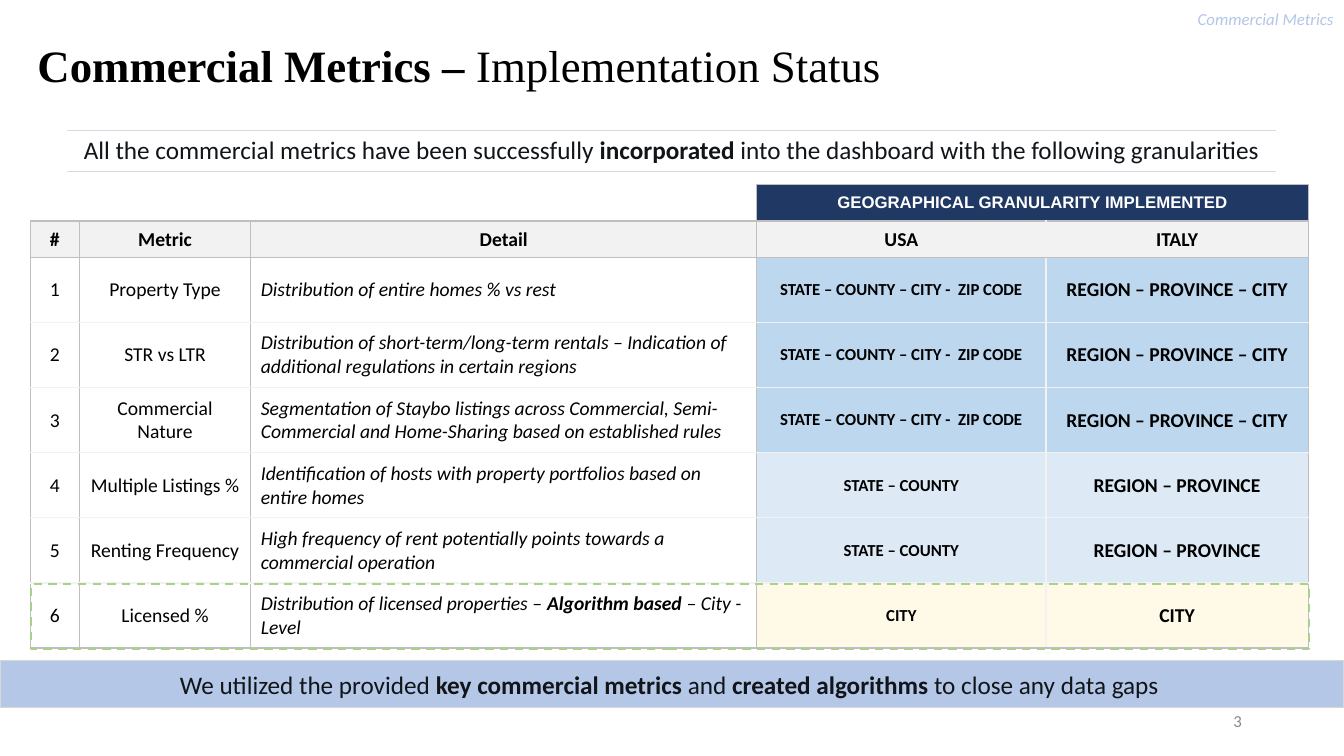
from pptx import Presentation
from pptx.dml.color import RGBColor
from pptx.enum.dml import MSO_LINE_DASH_STYLE as Dash
from pptx.enum.shapes import MSO_SHAPE as Shape
from pptx.enum.text import MSO_ANCHOR as Anchor, PP_ALIGN as Align
from pptx.oxml.ns import qn
from pptx.util import Cm, Pt
from lxml.etree import SubElement

COLORS = {
    "black": "000000", "white": "FFFFFF", "ink": "11151A", "muted": "888888",
    "tag": "B3C6E7", "navy": "203864", "grid": "BFBFBF", "pale": "F2F2F2",
    "fine": "BDD7EE", "broad": "DDEAF6", "cream": "FFF9E7", "rule": "D5DBE5",
    "band": "B4C7E7", "band_edge": "D8D8D8", "dash": "A9D18E",
}
COLUMN_WIDTHS = [1.24, 4.32, 12.75, 7.29, 6.61]
HEADER_HEIGHT, METRIC_HEIGHT = 0.92, 1.64
HEADINGS = ["#", "Metric", "Detail", "USA", "ITALY"]

# Granularity level: USA text, Italy text, fill
LEVELS = {
    "zip": ("STATE – COUNTY – CITY -  ZIP CODE", "REGION – PROVINCE – CITY", "fine"),
    "county": ("STATE – COUNTY", "REGION – PROVINCE", "broad"),
    "city": ("CITY", "CITY", "cream"),
}
# Text between double asterisks is bold
METRICS = [
    ("Property Type", "Distribution of entire homes % vs rest", "zip"),
    ("STR vs LTR", "Distribution of short-term/long-term rentals – Indication of "
     "additional regulations in certain regions", "zip"),
    ("Commercial Nature", "Segmentation of Staybo listings across Commercial, "
     "Semi-Commercial and Home-Sharing based on established rules", "zip"),
    ("Multiple Listings %", "Identification of hosts with property portfolios "
     "based on entire homes", "county"),
    ("Renting Frequency", "High frequency of rent potentially points towards a "
     "commercial operation", "county"),
    ("Licensed %", "Distribution of licensed properties – **Algorithm based **"
     "– City - Level", "city"),
]


def rgb(name):
    return RGBColor.from_string(COLORS[name])


class SlideBuilder:
    """Holds the style and the current slide."""

    def __init__(self, slide, font="Calibri"):
        self.slide = slide
        self.font = font

    def add_text(self, frame, text, size, color="black", bold=False, italic=False,
                 align=Align.CENTER, font=None):
        paragraph = frame.paragraphs[0]
        paragraph.alignment = align
        for index, part in enumerate(text.split("**")):
            if not part:
                continue
            run = paragraph.add_run()
            run.text = part
            run.font.name = font or self.font
            run.font.size = Pt(size)
            run.font.bold = bold or index % 2 == 1
            run.font.italic = italic
            run.font.color.rgb = rgb(color)
        return paragraph

    def title(self, text, left, top, width, height):
        title = self.slide.shapes.title
        title.left, title.top = Cm(left), Cm(top)
        title.width, title.height = Cm(width), Cm(height)
        title.text_frame.vertical_anchor = Anchor.MIDDLE
        paragraph = self.add_text(title.text_frame, text, 32, align=Align.LEFT,
                                  font="Times New Roman")
        paragraph.line_spacing = 0.9

    def label(self, text, left, top, width, height, **style):
        box = self.slide.shapes.add_textbox(Cm(left), Cm(top), Cm(width), Cm(height))
        box.text_frame.word_wrap = True
        box.text_frame.vertical_anchor = Anchor.MIDDLE
        self.add_text(box.text_frame, text, 12, align=Align.RIGHT, **style)

    def rectangle(self, left, top, width, height, line, weight, fill=None, dash=None):
        box = self.slide.shapes.add_shape(Shape.RECTANGLE, Cm(left), Cm(top),
                                          Cm(width), Cm(height))
        box.shadow.inherit = False
        box.line.color.rgb = rgb(line)
        box.line.width = Pt(weight)
        if dash:
            box.line.dash_style = dash
        if fill:
            box.fill.solid()
            box.fill.fore_color.rgb = rgb(fill)
        else:
            box.fill.background()
        box.text_frame.vertical_anchor = Anchor.MIDDLE
        return box

    def table(self, left, top, widths, heights):
        table = self.slide.shapes.add_table(
            len(heights), len(widths), Cm(left), Cm(top),
            Cm(sum(widths)), Cm(sum(heights))).table
        table.first_row = table.horz_banding = False
        for column, width in zip(table.columns, widths):
            column.width = Cm(width)
        for row, height in zip(table.rows, heights):
            row.height = Cm(height)
        return table

    def cell(self, cell, borders, fill=None, text="", size=14, **style):
        """Borders are colour names for left, right, top and bottom."""
        cell.vertical_anchor = Anchor.MIDDLE
        properties = cell._tc.get_or_add_tcPr()
        for side, color in zip("LRTB", borders):
            line = SubElement(properties, qn(f"a:ln{side}"), w=str(Pt(1)))
            if color:
                solid = SubElement(line, qn("a:solidFill"))
                SubElement(solid, qn("a:srgbClr"), val=COLORS[color])
            else:
                SubElement(line, qn("a:noFill"))
        if fill:
            cell.fill.solid()
            cell.fill.fore_color.rgb = rgb(fill)
        else:
            cell.fill.background()
        if text:
            self.add_text(cell.text_frame, text, size, **style)
        else:
            paragraph = cell.text_frame.paragraphs[0]
            SubElement(paragraph._p, qn("a:endParaRPr"), sz=str(size * 100))


def add_metrics_table(page):
    heights = [HEADER_HEIGHT] * 2 + [METRIC_HEIGHT] * len(METRICS)
    table = page.table(0.76, 4.65, COLUMN_WIDTHS, heights)
    last_row = len(heights) - 1

    def borders(row, column):
        return ("pale" if column == 4 else "grid",
                "pale" if column == 3 else "grid",
                "pale" if row > 2 else "grid",
                "pale" if 2 <= row < last_row else "grid")

    # Spanning header over the two countries
    for column in range(3):
        page.cell(table.cell(0, column),
                  (None, "grid" if column == 2 else None, None, "grid"), size=12)
    page.cell(table.cell(0, 3), ["grid"] * 4, "navy",
              "GEOGRAPHICAL GRANULARITY IMPLEMENTED", 12, color="white",
              bold=True, font="Arial")
    page.cell(table.cell(0, 4), ["grid"] * 4, "navy", size=12)
    table.cell(0, 3).merge(table.cell(0, 4))

    # Column headings
    for column, heading in enumerate(HEADINGS):
        page.cell(table.cell(1, column), borders(1, column), "pale", heading, bold=True)

    # One row per metric
    for number, (metric, detail, level) in enumerate(METRICS, 1):
        usa, italy, fill = LEVELS[level]
        row = number + 1
        contents = [
            dict(text=str(number)),
            dict(text=metric),
            dict(text=detail, italic=True, align=Align.LEFT),
            dict(text=usa, fill=fill, size=12, bold=True),
            dict(text=italy, fill=fill, bold=True),
        ]
        for column, content in enumerate(contents):
            page.cell(table.cell(row, column), borders(row, column), **content)


def main():
    deck = Presentation()
    deck.slide_width, deck.slide_height = Cm(33.87), Cm(19.05)
    page = SlideBuilder(deck.slides.add_slide(deck.slide_layouts[5]))

    # Title, section tag and page number
    page.title("**Commercial Metrics – **Implementation Status", 0.69, 0.43, 32.54, 2.59)
    page.label("Commercial Metrics", 25.78, 0.1, 8.08, 0.76, color="tag", italic=True)
    page.label("3", 23.93, 17.65, 7.62, 1.02, color="muted")

    add_metrics_table(page)

    # Key statement between two rules
    statement = page.table(1.68, 3.28, [30.48], [1.04]).cell(0, 0)
    page.cell(statement, ("white", "white", "rule", "rule"), size=18, color="ink",
              text="All the commercial metrics have been successfully **incorporated **"
                   "into the dashboard with the following granularities")
    statement.vertical_anchor = Anchor.TOP
    statement.margin_left = statement.margin_right = Cm(0.33)

    # Closing band
    band = page.rectangle(0, 16.64, 33.87, 1.19, "band_edge", 1, fill="band")
    page.add_text(band.text_frame, "We utilized the provided **key commercial metrics **and "
                  "**created algorithms **to close any data gaps ", 18, color="ink")

    # Dashed highlight on the last metric
    page.rectangle(0.79, 14.71, 32.2, 1.65, "dash", 1.5, dash=Dash.DASH)

    deck.save("out.pptx")


if __name__ == "__main__":
    main()
